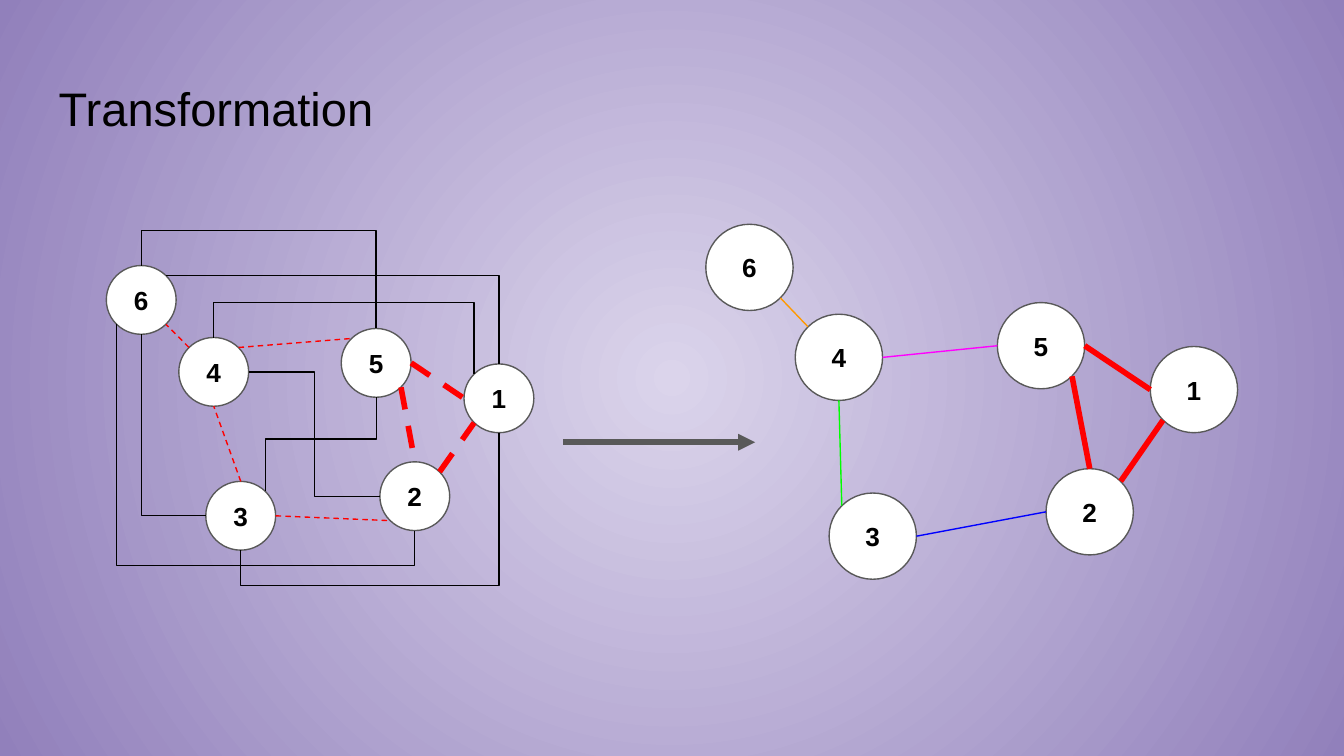
from lxml.etree import SubElement
from pptx import Presentation
from pptx.dml.color import RGBColor
from pptx.enum.dml import MSO_LINE
from pptx.enum.shapes import MSO_CONNECTOR, MSO_SHAPE
from pptx.enum.text import MSO_ANCHOR, PP_ALIGN
from pptx.oxml.ns import qn
from pptx.util import Cm, Pt

OVAL = MSO_SHAPE.OVAL
STRAIGHT = MSO_CONNECTOR.STRAIGHT
ELBOW = MSO_CONNECTOR.ELBOW
DASH = MSO_LINE.DASH
MIDDLE = MSO_ANCHOR.MIDDLE
LEFT = PP_ALIGN.LEFT
CENTER = PP_ALIGN.CENTER

BLACK = "000000"
GREY = "595959"
RED = "FF0000"
THIN = 0.75
THICK = 3
INSET = 0.25
SITES = {
    "N": (0, -1), "NE": (0.71, -0.71), "E": (1, 0), "SE": (0.71, 0.71),
    "S": (0, 1), "SW": (-0.71, 0.71), "W": (-1, 0), "NW": (-0.71, -0.71),
}

SMALL = (1.32, 1.3)
LARGE = (1.65, 1.63)
BEFORE = {
    "6": (2.01, 5.02), "4": (3.38, 6.38), "5": (6.45, 6.21),
    "3": (3.89, 9.1), "2": (7.18, 8.73), "1": (8.77, 6.88),
}
AFTER = {
    "6": (13.34, 4.24), "4": (15.03, 5.94), "5": (18.85, 5.72),
    "3": (15.67, 9.32), "2": (19.77, 8.86), "1": (21.74, 6.55),
}
BENDS = [
    ("6", "NE", "1", "N", None),
    ("6", "S", "3", "W", None),
    ("4", "E", "2", "W", 5.94),
    ("1", "S", "3", "S", 11.07),
    ("1", "NW", "4", "N", 5.72),
    ("5", "S", "3", "NE", 8.3),
    ("2", "S", "6", "SW", 10.69),
    ("6", "N", "5", "N", 4.36),
]
DASHES = [
    ("4", "NE", "5", "NW", RED, THIN),
    ("3", "N", "4", "S", RED, THIN),
    ("3", "E", "2", "SW", RED, THIN),
    ("2", "NE", "1", "SW", RED, THICK),
    ("5", "SE", "2", "N", RED, THICK),
    ("5", "E", "1", "W", RED, THICK),
    ("4", "NW", "6", "SE", RED, THIN),
]
EDGES = [
    ("6", "SE", "4", "NW", "FF9900", THIN),
    ("4", "S", "3", "NW", "00FF00", THIN),
    ("4", "E", "5", "W", "FF00FF", THIN),
    ("2", "W", "3", "E", "0000FF", THIN),
    ("1", "SW", "2", "NE", RED, THICK),
    ("1", "W", "5", "E", RED, THICK),
    ("5", "SE", "2", "N", RED, THICK),
]


def tint(code):
    """Turn a hex string into a colour."""
    return RGBColor.from_string(code)


def paint(slide):
    """Give the slide its radial gradient."""
    fill = slide.background.fill
    fill.gradient()
    for stop, code in zip(fill.gradient_stops, ("DBD4EB", "9180BB")):
        stop.color.rgb = tint(code)
    lin = slide.element.find(".//" + qn("a:lin"))
    grad = lin.getparent()
    grad.remove(lin)
    ring = SubElement(grad, qn("a:path"), {"path": "circle"})
    SubElement(ring, qn("a:fillToRect"), dict.fromkeys("ltrb", "50000"))


def pad(frame):
    """Set equal insets and middle anchoring on a text frame."""
    frame.margin_left = frame.margin_right = Cm(INSET)
    frame.margin_top = frame.margin_bottom = Cm(INSET)
    frame.vertical_anchor = MIDDLE


def style(para, text, size, bold, align):
    """Fill a paragraph and set its font."""
    para.text = text
    para.alignment = align
    para.font.name = "Arial"
    para.font.size = Pt(size)
    para.font.bold = bold
    para.font.color.rgb = tint(BLACK)


def head(slide, text):
    """Place and format the title."""
    title = slide.shapes.title
    title.left, title.top = Cm(0.86), Cm(1.24)
    title.width, title.height = Cm(23.67), Cm(1.6)
    pad(title.text_frame)
    style(title.text_frame.paragraphs[0], text, 25.2, False, LEFT)


def node(shapes, name, spot, size):
    """Draw a numbered circle."""
    disc = shapes.add_shape(OVAL, *map(Cm, spot + size))
    disc.shadow.inherit = False
    disc.fill.solid()
    disc.fill.fore_color.rgb = tint("FFFFFF")
    disc.line.color.rgb = tint(GREY)
    disc.line.width = Pt(THIN)
    pad(disc.text_frame)
    style(disc.text_frame.paragraphs[0], name, 14, True, CENTER)


def point(spot, size, site):
    """Find a compass point on the rim of a circle."""
    return tuple(p + s / 2 * (1 + k) for p, s, k in zip(spot, size, SITES[site]))


def link(shapes, start, end, code, width, kind=STRAIGHT):
    """Draw a connector without a shadow."""
    line = shapes.add_connector(kind, *map(Cm, start + end))
    line.line.color.rgb = tint(code)
    line.line.width = Pt(width)
    SubElement(line.element.spPr, qn("a:effectLst"))
    return line


def elbow(shapes, start, end, flat, bend):
    """Draw a bent connector that leaves level or upright, turning at bend."""
    (x, y), (dx, dy) = start, (end[0] - start[0], end[1] - start[1])
    wide, high = (abs(dx), abs(dy)) if flat else (abs(dy), abs(dx))
    left, top = x + (dx - wide) / 2, y + (dy - high) / 2
    line = link(shapes, (left, top), (left + wide, top + high), BLACK, THIN, ELBOW)
    props = line.element.spPr
    if not flat:
        props.xfrm.set("rot", str((90 if dx < 0 else 270) * 60000))
        if dx * dy > 0:
            props.xfrm.set("flipH", "1")
    geom = props.find(qn("a:prstGeom"))
    if bend is None:
        geom.set("prst", "bentConnector2")
        return
    part = (bend - x) / dx if flat else (bend - y) / dy
    guide = {"name": "adj1", "fmla": f"val {round(part * 100000)}"}
    SubElement(geom.find(qn("a:avLst")), qn("a:gd"), guide)


def graph(slide, nodes, size, bends, edges, dash):
    """Draw a group of circles with their bent and straight links."""
    shapes = slide.shapes.add_group_shape().shapes
    for name, spot in nodes.items():
        node(shapes, name, spot, size)
    for a, out, b, into, bend in bends:
        start, end = point(nodes[a], size, out), point(nodes[b], size, into)
        elbow(shapes, start, end, "E" in out, bend)
    for a, out, b, into, code, width in edges:
        start, end = point(nodes[a], size, out), point(nodes[b], size, into)
        line = link(shapes, start, end, code, width)
        if dash:
            line.line.dash_style = DASH


def arrow(slide, start, end):
    """Draw the arrow between the two graphs."""
    line = link(slide.shapes, start, end, GREY, THICK)
    SubElement(line.element.spPr.find(qn("a:ln")), qn("a:tailEnd"), {"type": "triangle"})


def main():
    """Build and save the slide."""
    deck = Presentation()
    deck.slide_width, deck.slide_height = Cm(25.4), Cm(14.29)
    slide = deck.slides.add_slide(deck.slide_layouts[5])
    paint(slide)
    head(slide, "Transformation")
    graph(slide, AFTER, LARGE, [], EDGES, False)
    graph(slide, BEFORE, SMALL, BENDS, DASHES, True)
    arrow(slide, (10.64, 8.36), (14.27, 8.36))
    deck.save("out.pptx")


if __name__ == "__main__":
    main()
